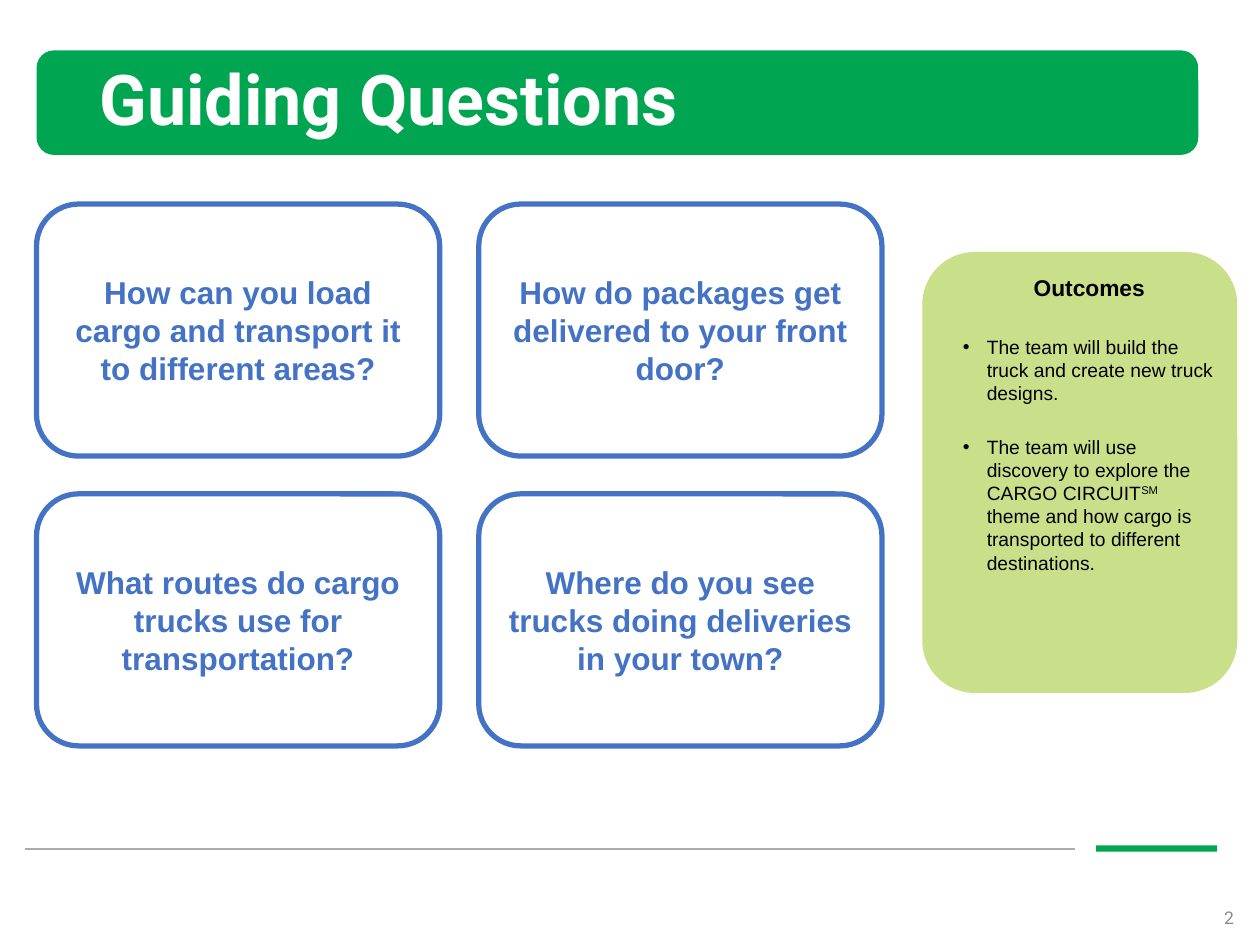
from dataclasses import dataclass
from itertools import product

from lxml.etree import SubElement
from pptx import Presentation
from pptx.dml.color import RGBColor
from pptx.enum.shapes import MSO_CONNECTOR, MSO_SHAPE
from pptx.enum.text import MSO_ANCHOR, MSO_AUTO_SIZE, PP_ALIGN
from pptx.oxml.ns import qn
from pptx.util import Inches, Pt


@dataclass(frozen=True)
class Theme:
    banner: str = "00A551"
    accent: str = "00A651"
    rule: str = "AFABAB"
    outcome: str = "C9DF89"
    question: str = "4472C4"
    white: str = "FFFFFF"
    black: str = "000000"
    muted: str = "8C8C8C"
    heading_font: str = "Roboto"
    body_font: str = "Arial"
    title_size: int = 40
    question_size: int = 18
    outcome_size: int = 13
    bullet_size: int = 11
    number_size: int = 10


class SlideBuilder:
    """Places elements on a grid of 100 columns by 75 rows."""

    def __init__(self, deck, theme):
        self.theme = theme
        self.column = deck.slide_width / 100
        self.row = deck.slide_height / 75
        self.page = deck.slides.add_slide(deck.slide_layouts[5])

    def area(self, left, top, width, height):
        return (round(left * self.column), round(top * self.row),
                round(width * self.column), round(height * self.row))

    def span(self, para, text, size, color, font=None, bold=False, baseline=None):
        span = para.add_run()
        span.text = text
        span.font.size = Pt(size)
        span.font.name = font or self.theme.body_font
        span.font.bold = bold
        span.font.color.rgb = RGBColor.from_string(color)
        if baseline:
            span.font._element.set("baseline", str(baseline * 1000))

    def panel(self, place, fill, line=None, kind=MSO_SHAPE.ROUNDED_RECTANGLE):
        box = self.page.shapes.add_shape(kind, *self.area(*place))
        box.shadow.inherit = False
        box.fill.solid()
        box.fill.fore_color.rgb = RGBColor.from_string(fill)
        if line:
            box.line.color.rgb = RGBColor.from_string(line)
            box.line.width = Pt(3)
        else:
            box.line.fill.background()
        box.text_frame.word_wrap = True
        return box

    def rule(self, left, right, row):
        x, y, width, _ = self.area(left, row, right - left, 0)
        line = self.page.shapes.add_connector(
            MSO_CONNECTOR.STRAIGHT, x, y, x + width, y)
        line.line.color.rgb = RGBColor.from_string(self.theme.rule)
        line.line.width = Pt(1)
        SubElement(line._element.spPr, qn("a:effectLst"))

    def title(self, text, place):
        box = self.page.shapes.title
        box.left, box.top, box.width, box.height = self.area(*place)
        # Bring the placeholder in front of the banner
        self.page.shapes.element.append(box.element)
        frame = box.text_frame
        frame.auto_size = MSO_AUTO_SIZE.NONE
        frame.vertical_anchor = MSO_ANCHOR.MIDDLE
        para = frame.paragraphs[0]
        para.alignment = PP_ALIGN.LEFT
        para.line_spacing = 0.9
        self.span(para, text, self.theme.title_size, self.theme.white,
                  self.theme.heading_font, bold=True)

    def question(self, text, place):
        theme = self.theme
        frame = self.panel(place, theme.white, theme.question).text_frame
        frame.vertical_anchor = MSO_ANCHOR.MIDDLE
        para = frame.paragraphs[0]
        para.alignment = PP_ALIGN.CENTER
        self.span(para, text, theme.question_size, theme.question, bold=True)

    def outcomes(self, heading, bullets, place):
        theme = self.theme
        frame = self.panel(place, theme.outcome).text_frame
        frame.vertical_anchor = MSO_ANCHOR.TOP
        frame.margin_left, frame.margin_top = Inches(0.2), Inches(0.05)
        frame.margin_right, frame.margin_bottom = Inches(0.05), Inches(0.1)
        para = frame.paragraphs[0]
        para.alignment = PP_ALIGN.CENTER
        para.space_after = Pt(19.5)
        self.span(para, heading, theme.outcome_size, theme.black, bold=True)
        for parts in bullets:
            para = frame.add_paragraph()
            para.alignment = PP_ALIGN.LEFT
            para.space_after = Pt(17.7)
            properties = para._p.get_or_add_pPr()
            properties.set("marL", str(Inches(0.19)))
            properties.set("indent", str(-Inches(0.19)))
            SubElement(properties, qn("a:buFont"), typeface=theme.body_font)
            SubElement(properties, qn("a:buChar"), char="•")
            for text, baseline in parts:
                self.span(para, text, theme.bullet_size, theme.black,
                          baseline=baseline)

    def page_number(self, text, place):
        box = self.page.shapes.add_textbox(*self.area(*place))
        frame = box.text_frame
        frame.word_wrap = True
        frame.vertical_anchor = MSO_ANCHOR.MIDDLE
        para = frame.paragraphs[0]
        para.alignment = PP_ALIGN.RIGHT
        self.span(para, text, self.theme.number_size, self.theme.muted,
                  self.theme.heading_font)


QUESTIONS = [
    "How can you load cargo and transport it to different areas?",
    "How do packages get delivered to your front door?",
    "What routes do cargo trucks use for transportation?",
    "Where do you see trucks doing deliveries in your town?",
]
OUTCOMES = [
    [("The team will build the truck and create new truck designs.", None)],
    [("The team will use discovery to explore the CARGO CIRCUIT", None),
     ("SM", 30),
     (" theme and how cargo is transported to different destinations.", None)],
]


def main():
    deck = Presentation()
    deck.slide_width, deck.slide_height = Inches(10), Inches(7.5)
    theme = Theme()
    builder = SlideBuilder(deck, theme)

    # Footer
    builder.panel((87, 67.1, 9.6, 0.5), theme.accent, kind=MSO_SHAPE.RECTANGLE)
    builder.rule(2, 85.3, 67.4)
    builder.page_number("2", (95, 71.7, 3.9, 2.3))

    # Title banner
    builder.panel((2.9, 4, 92.2, 8.3), theme.banner)
    builder.title("Guiding Questions", (6.9, 4, 86.2, 8.3))

    # Outcomes panel
    builder.outcomes("Outcomes", OUTCOMES, (73.2, 20, 25, 35))

    # Two by two question cards
    for text, (row, column) in zip(QUESTIONS, product(range(2), repeat=2)):
        builder.question(text, (2.9 + 35.1 * column, 16.2 + 23 * row, 32, 20))

    deck.save("out.pptx")


if __name__ == "__main__":
    main()
